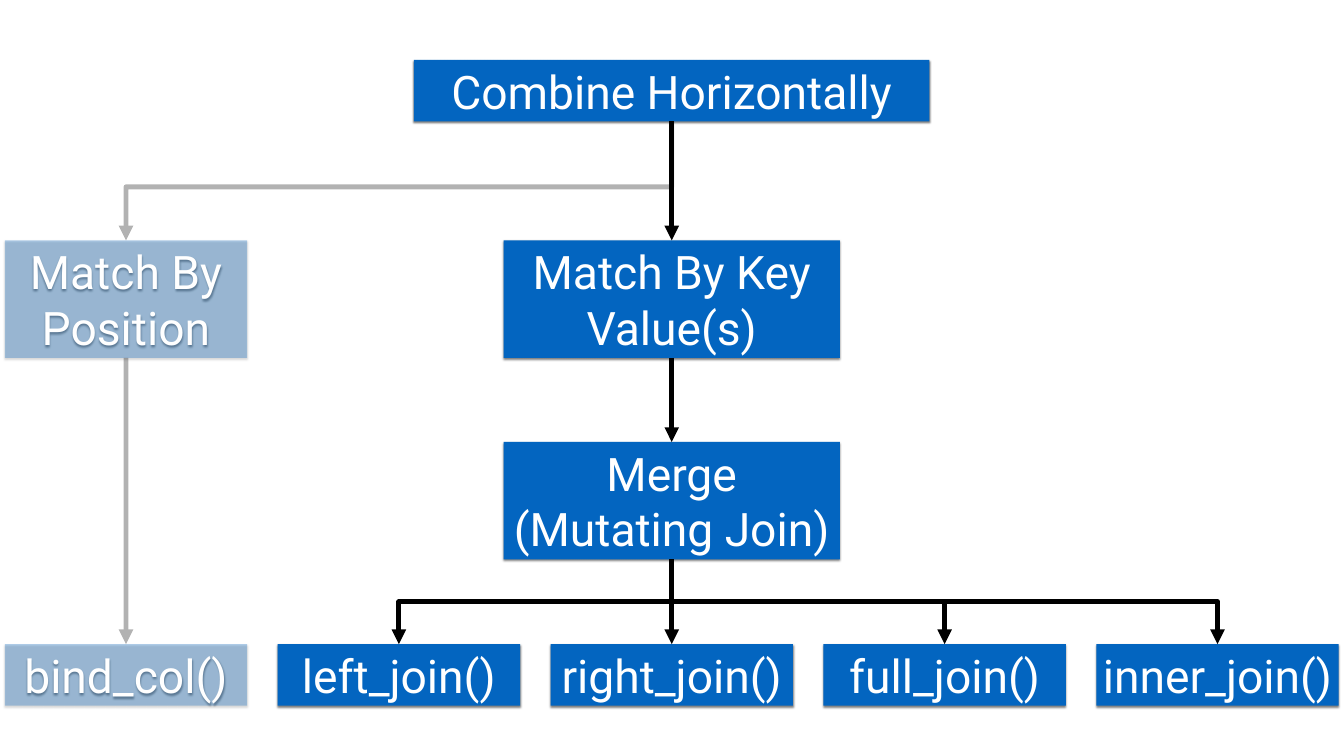
from lxml.etree import SubElement
from pptx import Presentation
from pptx.dml.color import RGBColor
from pptx.enum.shapes import MSO_CONNECTOR, MSO_SHAPE
from pptx.enum.text import MSO_ANCHOR, MSO_AUTO_SIZE, PP_ALIGN
from pptx.oxml.ns import qn
from pptx.util import Inches, Pt

THEME = {
    "box": RGBColor.from_string("0365C0"),
    "text": RGBColor.from_string("FFFFFF"),
    "arrow": RGBColor.from_string("000000"),
    "font": "Roboto",
    "size": Pt(66),
    "arrow_width": Pt(7),
    "faded_alpha": "30000",
}
TEXT_FRAME_FORMAT = {
    "word_wrap": True,
    "auto_size": MSO_AUTO_SIZE.SHAPE_TO_FIT_TEXT,
    "vertical_anchor": MSO_ANCHOR.MIDDLE,
    **{f"margin_{side}": Inches(0.06) for side in ("left", "top", "right", "bottom")},
}
FONT_FORMAT = {"name": THEME["font"], "size": THEME["size"]}
SHADOW = {"blurRad": Pt(3), "dist": Pt(2), "dir": 90 * 60000, "rotWithShape": 0}

# Rows and columns of the tree, in inches
CENTER = 13.33
ROOT_TOP, MATCH_TOP, MERGE_TOP, LEAF_TOP = 1.19, 4.77, 8.77, 12.78
ONE_LINE, TWO_LINES = 1.22, 2.33
ROOT_WIDTH, BRANCH_WIDTH, LEAF_WIDTH = 10.23, 6.67, 4.81
LEAF_CENTERS = [2.5 + 5.415 * column for column in range(5)]
POSITION_CENTER = LEAF_CENTERS[0]
ROOT_BOTTOM = ROOT_TOP + ONE_LINE
MATCH_BOTTOM = MATCH_TOP + TWO_LINES
MERGE_BOTTOM = MERGE_TOP + TWO_LINES

presentation = Presentation()
presentation.slide_width = Inches(26.67)
presentation.slide_height = Inches(15)
slide = presentation.slides.add_slide(presentation.slide_layouts[6])


def add_box(text, center, top, width, height, faded=False):
    shape = slide.shapes.add_shape(
        MSO_SHAPE.RECTANGLE, Inches(center - width / 2), Inches(top), Inches(width), Inches(height)
    )
    shape.fill.solid()
    shape.fill.fore_color.rgb = THEME["box"]
    shape.line.fill.background()
    shape.shadow.inherit = False
    properties = shape.element.spPr
    if faded:
        color = properties.find(qn("a:solidFill"))[0]
        SubElement(color, qn("a:alpha"), val=THEME["faded_alpha"])
    shadow = SubElement(properties.find(qn("a:effectLst")), qn("a:outerShdw"))
    for name, value in SHADOW.items():
        shadow.set(name, str(value))
    color = SubElement(shadow, qn("a:srgbClr"), val="000000")
    SubElement(color, qn("a:alpha"), val="50000")

    frame = shape.text_frame
    for name, value in TEXT_FRAME_FORMAT.items():
        setattr(frame, name, value)
    frame.text = text
    for paragraph in frame.paragraphs:
        paragraph.alignment = PP_ALIGN.CENTER
        for name, value in FONT_FORMAT.items():
            setattr(paragraph.font, name, value)
        paragraph.font.color.rgb = THEME["text"]


def add_arrow(start_x, start_y, end_x, end_y, faded=False, bend=0.5):
    """Draw a downward arrow; one that moves sideways turns at the bend fraction."""
    if start_x == end_x:
        kind, ends = MSO_CONNECTOR.STRAIGHT, (start_x, start_y, end_x, end_y)
    else:
        # An elbow leaves sideways, so it is laid out on its side and rotated.
        kind = MSO_CONNECTOR.ELBOW
        middle_x, middle_y = (start_x + end_x) / 2, (start_y + end_y) / 2
        half_run, half_rise = (end_y - start_y) / 2, abs(end_x - start_x) / 2
        side = 1 if end_x < start_x else -1
        ends = (middle_x - side * half_run, middle_y - half_rise,
                middle_x + side * half_run, middle_y + half_rise)
    connector = slide.shapes.add_connector(kind, *map(Inches, ends))
    connector.line.width = THEME["arrow_width"]
    connector.line.color.rgb = THEME["arrow"]
    properties = connector.element.spPr
    if start_x != end_x:
        rotation = 90 if end_x < start_x else 270
        properties.find(qn("a:xfrm")).set("rot", str(rotation * 60000))
        adjustments = properties.find(qn("a:prstGeom")).find(qn("a:avLst"))
        SubElement(adjustments, qn("a:gd"), name="adj1", fmla=f"val {round(bend * 100000)}")
    line = properties.find(qn("a:ln"))
    if faded:
        color = line.find(qn("a:solidFill"))[0]
        SubElement(color, qn("a:alpha"), val=THEME["faded_alpha"])
    SubElement(line, qn("a:tailEnd"), type="triangle")
    SubElement(properties, qn("a:effectLst"))


add_box("Combine Horizontally", CENTER, ROOT_TOP, ROOT_WIDTH, ONE_LINE)
add_box("Match By Position", POSITION_CENTER, MATCH_TOP, LEAF_WIDTH, TWO_LINES, faded=True)
add_box("Match By Key Value(s)", CENTER, MATCH_TOP, BRANCH_WIDTH, TWO_LINES)
add_box("Merge\n(Mutating Join)", CENTER, MERGE_TOP, BRANCH_WIDTH, TWO_LINES)

functions = ["bind_col()", "left_join()", "right_join()", "full_join()", "inner_join()"]
for name, center in zip(functions, LEAF_CENTERS):
    add_box(name, center, LEAF_TOP, LEAF_WIDTH, ONE_LINE, faded=name == "bind_col()")

add_arrow(CENTER, ROOT_BOTTOM, CENTER, MATCH_TOP)
add_arrow(CENTER, ROOT_BOTTOM, POSITION_CENTER, MATCH_TOP, faded=True, bend=0.55)
add_arrow(CENTER, MATCH_BOTTOM, CENTER, MERGE_TOP)
for center in LEAF_CENTERS[1:]:
    add_arrow(CENTER, MERGE_BOTTOM, CENTER if abs(center - CENTER) < 0.01 else center, LEAF_TOP)
add_arrow(POSITION_CENTER, MATCH_BOTTOM, POSITION_CENTER, LEAF_TOP, faded=True)

presentation.save("out.pptx")
